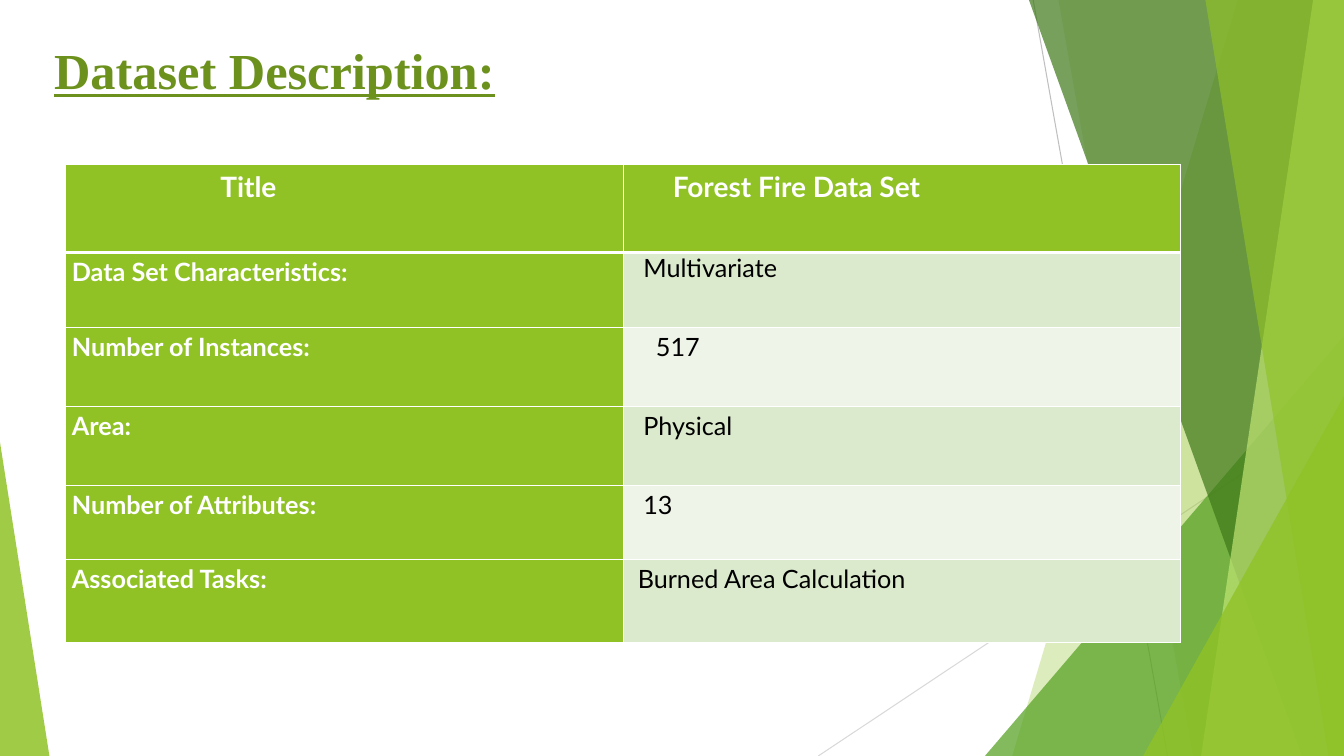
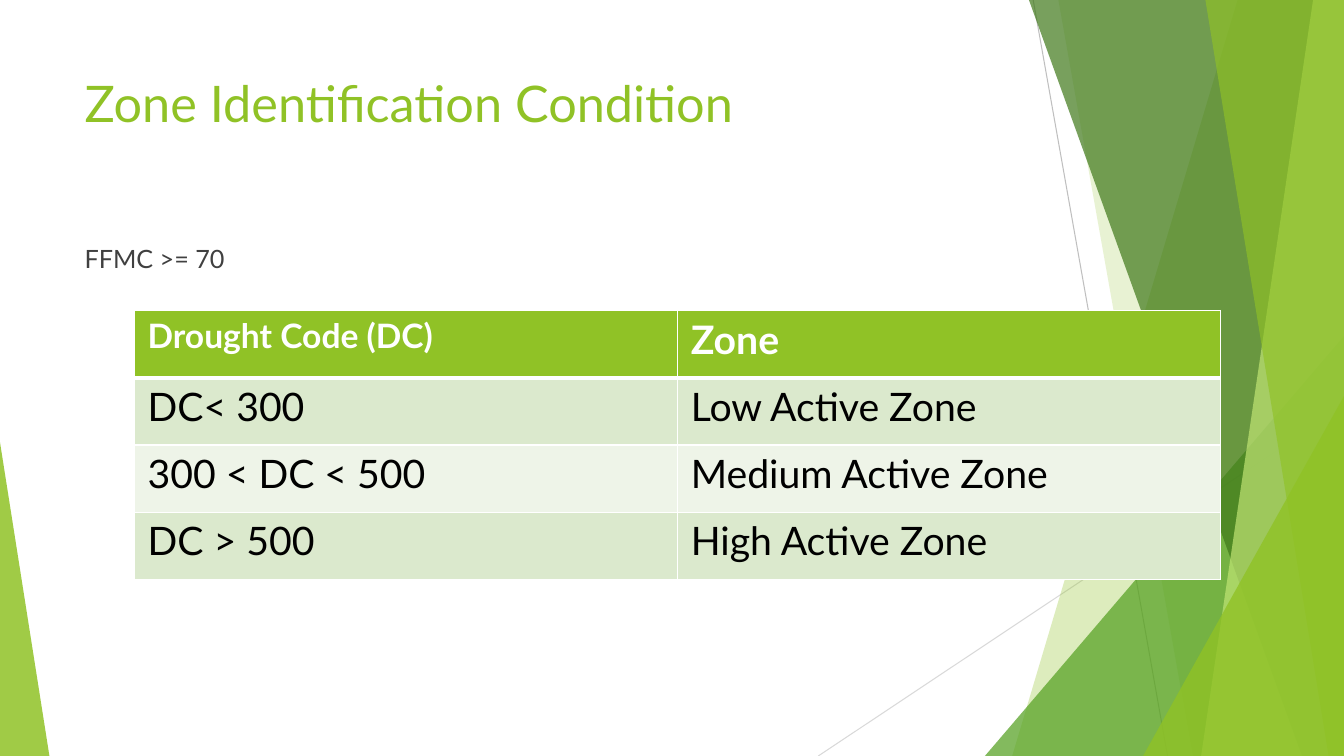
from dataclasses import dataclass

from lxml.etree import SubElement
from pptx import Presentation
from pptx.dml.color import RGBColor as RGB
from pptx.enum.shapes import MSO_CONNECTOR as Connector, MSO_SHAPE as Shape
from pptx.oxml import parse_xml
from pptx.oxml.ns import nsdecls, qn
from pptx.util import Pt


@dataclass(frozen=True)
class Theme:
    # Colours
    lime: str = "90C226"
    pale_lime: str = "C0E474"
    leaf: str = "54A021"
    forest: str = "3F7819"
    olive: str = "6C921D"
    row_dark: str = "DBE9CD"
    row_light: str = "EEF4E8"
    white: str = "FFFFFF"
    black: str = "000000"
    body: str = "404040"
    ray_dark: str = "BFBFBF"
    ray_light: str = "D9D9D9"
    # Type
    sans: str = "Lato"
    serif: str = "Times New Roman"
    title_size: int = 36
    header_size: int = 20
    subheader_size: int = 24
    large_size: int = 28
    text_size: int = 18
    # Lines
    hairline: float = 0.75
    border: int = 1
    header_border: int = 3


@dataclass(frozen=True)
class Entry:
    text: str
    size: int
    indent: float = 0
    spacing: float = 1


THEME = Theme()
WIDTH, HEIGHT = 960, 540


class Deck:
    def __init__(self, theme):
        self.theme = theme
        self.prs = Presentation()
        self.prs.slide_width, self.prs.slide_height = Pt(WIDTH), Pt(HEIGHT)
        self.slide = None

    def new_slide(self):
        self.slide = self.prs.slides.add_slide(self.prs.slide_layouts[6])
        self.facets()

    # Background facets, from back to front
    def facets(self):
        t = self.theme
        self.ray((738, 0), (834, HEIGHT), t.ray_dark)
        self.ray((WIDTH, 290), (584.5, HEIGHT), t.ray_light)
        self.band(884, 723, t.lime, 30)
        self.band(756, 852, t.lime, 20)
        self.corner(703.5, 240, 256.5, 1, t.leaf, 72)
        self.band(735, 930, t.forest, 70)
        self.band(938, 858, t.pale_lime, 70)
        self.band(861, 949, t.lime, 65)
        self.corner(816.5, 283, 143.5, 1, t.lime, 80)
        self.corner(0, 316, 35.3, 0, t.lime, 85)

    def ray(self, start, end, color):
        ray = self.slide.shapes.add_connector(
            Connector.STRAIGHT, *(Pt(v) for v in start + end))
        ray.line.color.rgb = RGB.from_string(color)
        ray.line.width = Pt(self.theme.hairline)
        SubElement(ray._element.spPr, qn("a:effectLst"))

    def band(self, top_x, bottom_x, color, opacity):
        """Fill from a slanted left edge to the right edge of the slide."""
        builder = self.slide.shapes.build_freeform(Pt(top_x), 0)
        outline = [(WIDTH, 0), (WIDTH, HEIGHT), (bottom_x, HEIGHT)]
        builder.add_line_segments([(Pt(x), Pt(y)) for x, y in outline])
        self.paint(builder.convert_to_shape(), color, opacity)

    def corner(self, left, top, width, apex, color, opacity):
        """Triangle standing on the bottom edge of the slide."""
        corner = self.slide.shapes.add_shape(
            Shape.ISOSCELES_TRIANGLE,
            Pt(left), Pt(top), Pt(width), Pt(HEIGHT - top))
        corner.adjustments[0] = apex
        self.paint(corner, color, opacity)

    def paint(self, shape, color, opacity):
        shape.shadow.inherit = False
        shape.line.fill.background()
        shape.fill.solid()
        shape.fill.fore_color.rgb = RGB.from_string(color)
        srgb = shape._element.spPr.find(qn("a:solidFill")).find(qn("a:srgbClr"))
        SubElement(srgb, qn("a:alpha")).set("val", str(opacity * 1000))

    # Text
    def style(self, paragraph, size, color, font=None, bold=False,
              underline=False):
        for run in paragraph.runs:
            run.font.name = font or self.theme.sans
            run.font.size = Pt(size)
            run.font.color.rgb = RGB.from_string(color)
            run.font.bold = bold
            run.font.underline = underline

    def text(self, words, left, top, height, size, color, **look):
        frame = self.slide.shapes.add_textbox(
            Pt(left), Pt(top), Pt(677), Pt(height)).text_frame
        frame.word_wrap = True
        frame.text = words
        self.style(frame.paragraphs[0], size, color, **look)

    def title(self, words, left, top, color, **look):
        self.text(words, left, top, 104, self.theme.title_size, color, **look)

    # Tables
    def table(self, left, top, widths, heights, rows, inset, label_column=False):
        t = self.theme
        grid = self.slide.shapes.add_table(
            len(rows), len(widths), Pt(left), Pt(top),
            Pt(sum(widths)), Pt(sum(heights))).table
        for column, width in zip(grid.columns, widths):
            column.width = Pt(width)
        for r, (entries, height) in enumerate(zip(rows, heights)):
            grid.rows[r].height = Pt(height)
            stripe = t.row_dark if r % 2 else t.row_light
            for c, entry in enumerate(entries):
                strong = r == 0 or (label_column and c == 0)
                cell = grid.cell(r, c)
                self.fill_cell(cell, entry, inset, strong, stripe)
                self.borders(cell, r)

    def fill_cell(self, cell, entry, inset, strong, stripe):
        t = self.theme
        side, edge = inset
        cell.margin_left, cell.margin_right = Pt(side + entry.indent), Pt(side)
        cell.margin_top = cell.margin_bottom = Pt(edge)
        cell.fill.solid()
        cell.fill.fore_color.rgb = RGB.from_string(t.lime if strong else stripe)
        cell.text_frame.text = entry.text
        paragraph = cell.text_frame.paragraphs[0]
        paragraph.line_spacing = entry.spacing
        self.style(paragraph, entry.size, t.white if strong else t.black,
                   bold=strong)

    def borders(self, cell, row):
        t = self.theme
        widths = {
            "lnL": t.border,
            "lnR": t.border,
            "lnT": t.header_border if row == 1 else t.border,
            "lnB": t.header_border if row == 0 else t.border,
        }
        properties = cell._tc.get_or_add_tcPr()
        for position, (tag, width) in enumerate(widths.items()):
            properties.insert(position, parse_xml(
                f'<a:{tag} {nsdecls("a")} w="{Pt(width)}"><a:solidFill>'
                f'<a:srgbClr val="{t.white}"/></a:solidFill></a:{tag}>'))


def dataset_slide(deck):
    t = deck.theme
    deck.new_slide()
    facts = [
        ("Data Set Characteristics:", "Multivariate", 9, 1),
        ("Number of Instances:", "517", 18, 1.15),
        ("Area:", "Physical", 9, 1.15),
        ("Number of Attributes:", "13", 9, 1.15),
        ("Associated Tasks:", "Burned Area Calculation", 5, 1.15),
    ]
    rows = [[Entry("Title", t.header_size, 106, 1.15),
             Entry("Forest Fire Data Set", t.header_size, 30, 1.15)]]
    rows += [[Entry(label, t.text_size, spacing=1.15),
              Entry(value, t.text_size, indent, spacing)]
             for label, value, indent, spacing in facts]
    deck.table(46.4, 117.4, [399.2, 397.8], [63, 53.4, 56.4, 56.4, 53, 59.6],
               rows, inset=(5, 0), label_column=True)
    deck.title("Dataset Description:", 31.5, 24.5, t.olive,
               font=t.serif, bold=True, underline=True)


def zone_slide(deck):
    t = deck.theme
    deck.new_slide()
    deck.title("Zone Identification Condition", 53.3, 48, t.lime)
    deck.text("FFMC >= 70", 53.3, 170, 305, t.text_size, t.body)
    zones = [
        ("DC< 300", "Low Active Zone"),
        ("300 < DC < 500", "Medium Active Zone"),
        ("DC > 500", "High Active Zone"),
    ]
    rows = [[Entry("Drought Code (DC)", t.subheader_size),
             Entry("Zone", t.large_size)]]
    rows += [[Entry(words, t.large_size) for words in zone] for zone in zones]
    deck.table(96, 221.8, [388, 388], [48] * len(rows), rows, inset=(9.5, 3.6))


def main():
    deck = Deck(THEME)
    dataset_slide(deck)
    zone_slide(deck)
    deck.prs.save("out.pptx")


if __name__ == "__main__":
    main()
